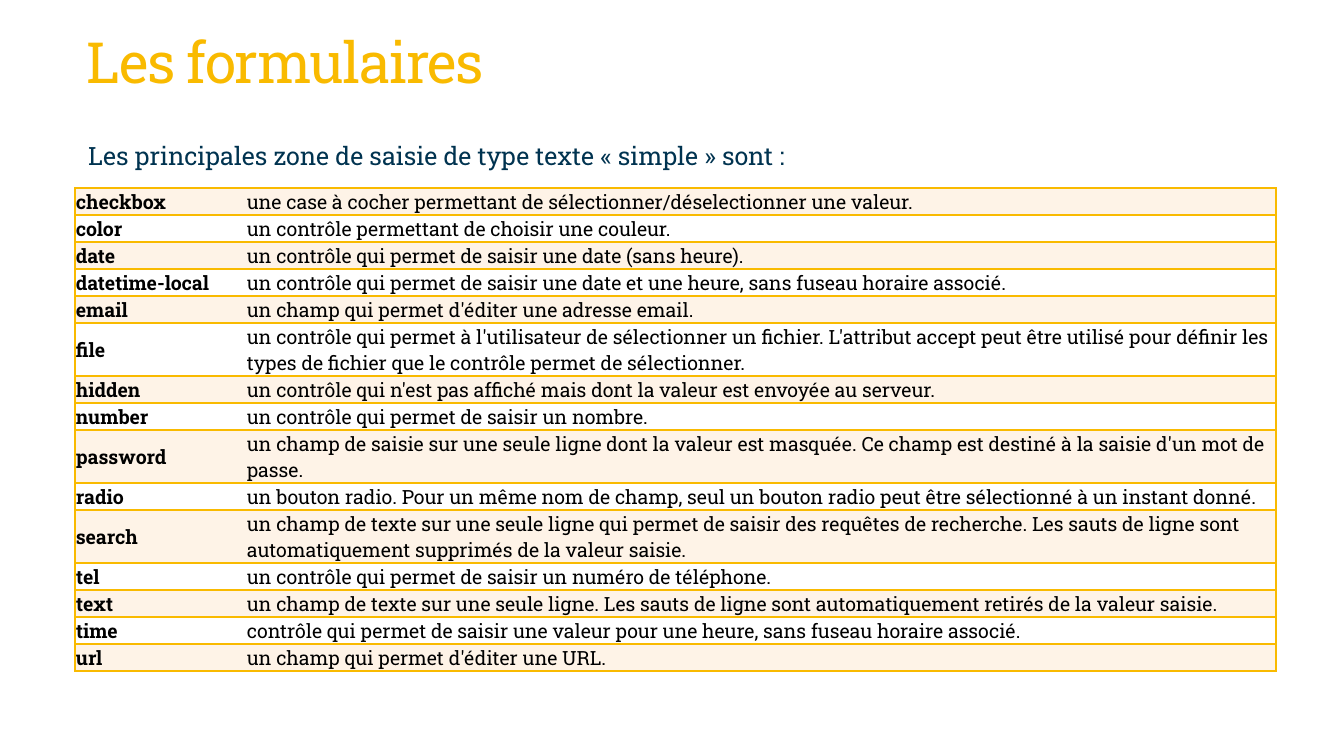
"""Build a slide listing the HTML form input types."""
from lxml import etree
from pptx import Presentation
from pptx.dml.color import RGBColor
from pptx.enum.text import MSO_ANCHOR, MSO_AUTO_SIZE, PP_ALIGN
from pptx.oxml.ns import qn
from pptx.util import Emu, Pt

MIDDLE, BOTTOM = MSO_ANCHOR.MIDDLE, MSO_ANCHOR.BOTTOM
LEFT = PP_ALIGN.LEFT
NO_AUTOFIT = MSO_AUTO_SIZE.NONE

TITLE = "Les formulaires"
INTRO = "Les principales zone de saisie de type texte « simple » sont :"
INPUT_TYPES = [
    ("checkbox", "une case à cocher permettant de sélectionner/déselectionner une valeur."),
    ("color", "un contrôle permettant de choisir une couleur."),
    ("date", "un contrôle qui permet de saisir une date (sans heure)."),
    ("datetime-local", "un contrôle qui permet de saisir une date et une heure, sans fuseau horaire associé."),
    ("email", "un champ qui permet d'éditer une adresse email."),
    ("file", "un contrôle qui permet à l'utilisateur de sélectionner un fichier. L'attribut accept peut "
             "être utilisé pour définir les types de fichier que le contrôle permet de sélectionner."),
    ("hidden", "un contrôle qui n'est pas affiché mais dont la valeur est envoyée au serveur."),
    ("number", "un contrôle qui permet de saisir un nombre."),
    ("password", "un champ de saisie sur une seule ligne dont la valeur est masquée. Ce champ est destiné "
                 "à la saisie d'un mot de passe."),
    ("radio", "un bouton radio. Pour un même nom de champ, seul un bouton radio peut être sélectionné "
              "à un instant donné."),
    ("search", "un champ de texte sur une seule ligne qui permet de saisir des requêtes de recherche. "
               "Les sauts de ligne sont automatiquement supprimés de la valeur saisie."),
    ("tel", "un contrôle qui permet de saisir un numéro de téléphone."),
    ("text", "un champ de texte sur une seule ligne. Les sauts de ligne sont automatiquement retirés "
             "de la valeur saisie."),
    ("time", "contrôle qui permet de saisir une valeur pour une heure, sans fuseau horaire associé."),
    ("url", "un champ qui permet d'éditer une URL."),
]

FONT = "Roboto Slab"
GOLD, NAVY, BLACK = "F9BA00", "003350", "000000"
BANDS = ("FEF3E7", "FFFFFF")
COLUMN_WIDTHS = (171, 1030)
LINE_HEIGHT = 26
LINE_CHARS = 110


def px(length):
    return Emu(round(length * 914400 / 134.4))


def rgb(color):
    return RGBColor.from_string(color)


def write(frame, text, size, color, bold=False, line_spacing=None):
    frame.text = text
    paragraph = frame.paragraphs[0]
    paragraph.alignment = LEFT
    paragraph.line_spacing = line_spacing
    run = paragraph.runs[0]
    run.font.name = FONT
    run.font.size = Pt(size)
    run.font.bold = bold
    run.font.color.rgb = rgb(color)
    return run


def set_borders(cell, sides):
    properties = cell._tc.get_or_add_tcPr()
    for position, side in enumerate("LRTB"):
        line = etree.Element(qn(f"a:ln{side}"), w=str(Pt(1)))
        if side in sides:
            fill = etree.SubElement(line, qn("a:solidFill"))
            etree.SubElement(fill, qn("a:srgbClr"), val=GOLD)
        else:
            etree.SubElement(line, qn("a:noFill"))
        properties.insert(position, line)


def add_title(slide):
    title = slide.shapes.title
    title.left, title.top, title.width, title.height = map(px, (73, 20, 1188, 93))
    frame = title.text_frame
    frame.auto_size = NO_AUTOFIT
    frame.vertical_anchor = MIDDLE
    run = write(frame, TITLE, 30.4, GOLD, line_spacing=0.85)
    run.font._element.set("spc", "-70")


def add_intro(slide):
    intro = slide.shapes.add_textbox(*map(px, (75, 138, 1185, 509)))
    intro.text_frame.word_wrap = True
    write(intro.text_frame, INTRO, 13.5, NAVY, line_spacing=0.85)


def add_input_table(slide):
    heights = [LINE_HEIGHT * (1 + len(usage) // LINE_CHARS) + 1 for _, usage in INPUT_TYPES]
    frame = slide.shapes.add_table(len(INPUT_TYPES), len(COLUMN_WIDTHS), px(75), px(188),
                                   px(sum(COLUMN_WIDTHS)), px(sum(heights)))
    table = frame.table
    table.first_row = table.horz_banding = False
    for column, width in zip(table.columns, COLUMN_WIDTHS):
        column.width = px(width)
    for index, (entry, height) in enumerate(zip(INPUT_TYPES, heights)):
        table.rows[index].height = px(height)
        for cell, text, bold, anchor, sides in zip(
                table.rows[index].cells, entry, (True, False), (MIDDLE, BOTTOM), ("LTB", "RTB")):
            cell.margin_left = cell.margin_right = cell.margin_top = px(1)
            cell.margin_bottom = 0
            cell.vertical_anchor = anchor
            cell.fill.solid()
            cell.fill.fore_color.rgb = rgb(BANDS[index % 2])
            set_borders(cell, sides)
            write(cell.text_frame, text, 10.5, BLACK, bold)


def main():
    deck = Presentation()
    deck.slide_width, deck.slide_height = px(1344), px(756)
    slide = deck.slides.add_slide(deck.slide_layouts[5])
    add_title(slide)
    add_intro(slide)
    add_input_table(slide)
    deck.save("out.pptx")


if __name__ == "__main__":
    main()
